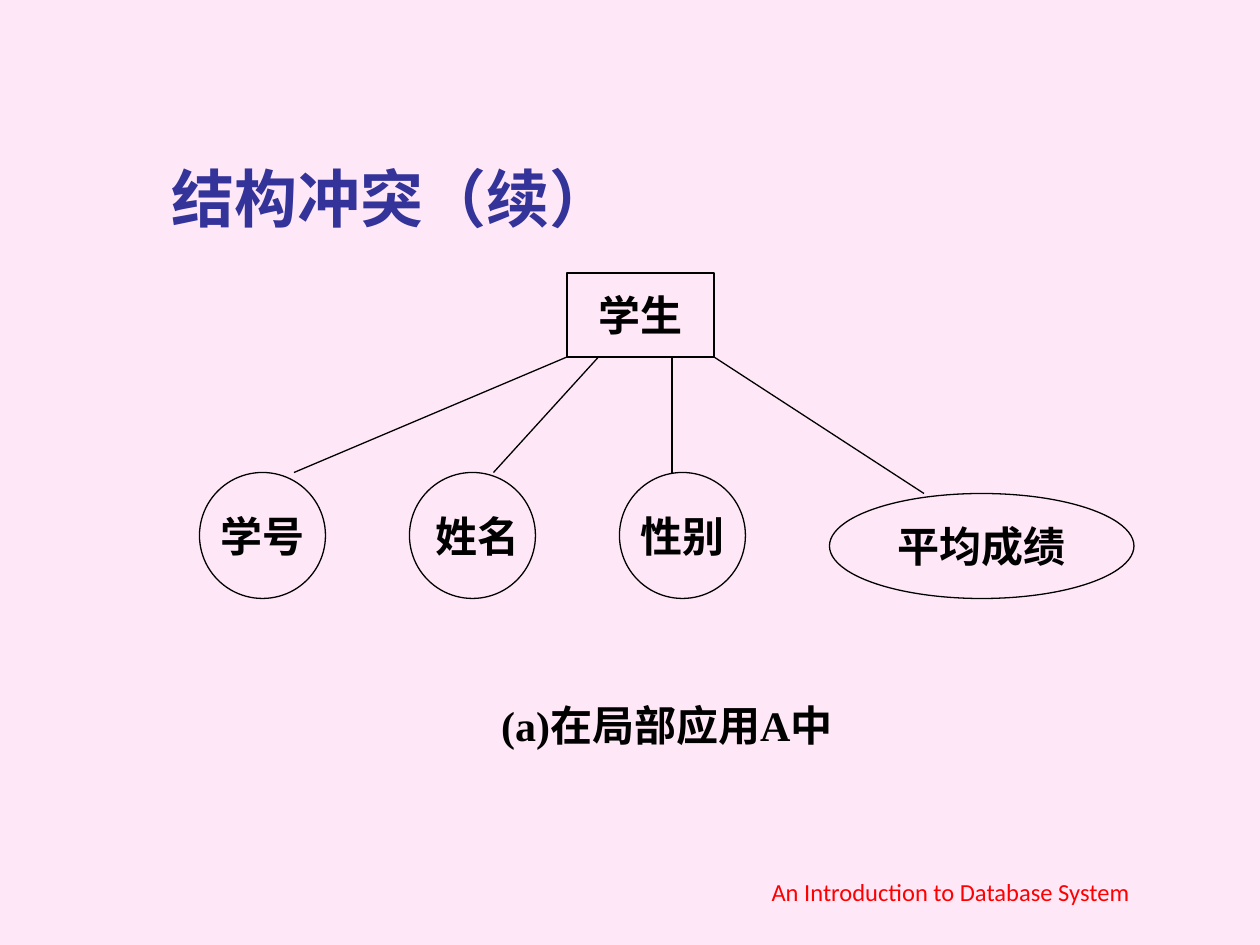
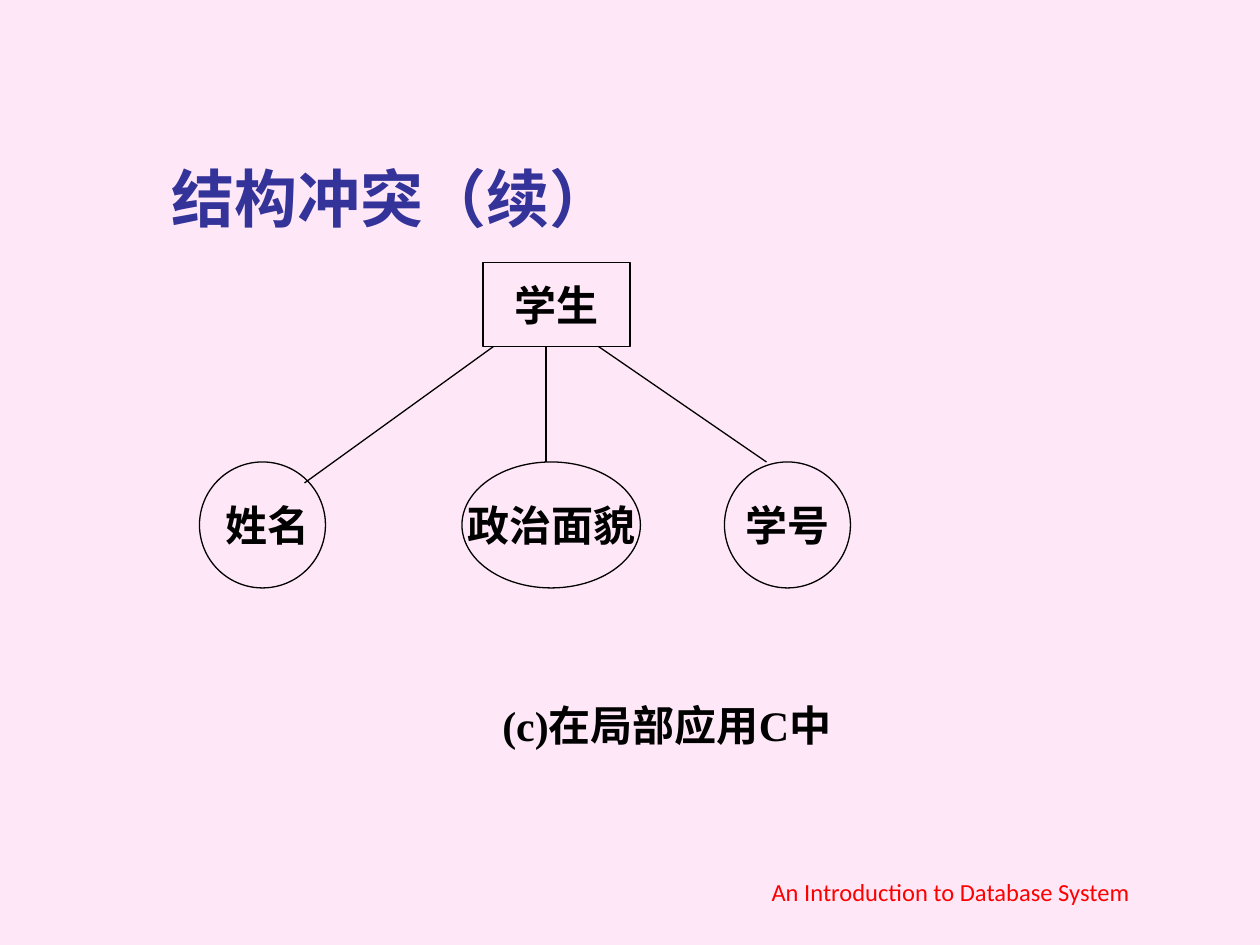
from lxml import etree
from pptx import Presentation
from pptx.dml.color import RGBColor
from pptx.enum.shapes import MSO_CONNECTOR, MSO_SHAPE
from pptx.enum.text import MSO_ANCHOR, MSO_AUTO_SIZE, PP_ALIGN
from pptx.oxml.ns import qn
from pptx.util import Pt

RECT, ELLIPSE = MSO_SHAPE.RECTANGLE, MSO_SHAPE.OVAL
STRAIGHT = MSO_CONNECTOR.STRAIGHT
MIDDLE, BOTTOM = MSO_ANCHOR.MIDDLE, MSO_ANCHOR.BOTTOM
LEFT, CENTER = PP_ALIGN.LEFT, PP_ALIGN.CENTER

BACKGROUND, BLACK, TITLE_BLUE, FOOTER_RED = "FEE8F7", "000000", "333399", "FF0000"
TITLE = "结构冲突（续）"
FOOTER = "An Introduction to Database System"

# Entity box: left, top. Attributes: text, left, top, width, height.
# Links: start x on the entity's lower edge, end x, end y.
DIAGRAMS = [
    {
        "entity": (324, 156),
        "attributes": [(text, 114 + 120 * i, 270, 72, 72)
                       for i, text in enumerate(["学号", " 姓名", "性别"])]
                      + [("平均成绩", 474, 282, 174, 60)],
        "links": [(324, 168, 270), (342, 282, 270), (384, 384, 270), (408, 528, 282)],
        "caption": "(a)在局部应用A中",
    },
    {
        "entity": (276, 150),
        "attributes": [("学号", 414, 264, 72, 72), (" 姓名", 114, 264, 72, 72),
                       (" 政治面貌 ", 264, 264, 102, 72)],
        "links": [(282, 174, 276), (342, 438, 264), (312, 312, 264)],
        "caption": "(c)在局部应用C中",
    },
]
ENTITY_W, ENTITY_H = 84, 48


def rgb(color):
    return RGBColor.from_string(color)


def write(sp, text, size=24, font="Times New Roman", color=BLACK, bold=True,
          align=CENTER, anchor=MIDDLE, wrap=False):
    tf = sp.text_frame
    tf.auto_size = MSO_AUTO_SIZE.NONE
    tf.word_wrap = wrap
    tf.vertical_anchor = anchor
    p = tf.paragraphs[0]
    p.alignment = align
    r = p.add_run()
    r.text = text
    r.font.size, r.font.name, r.font.bold = Pt(size), font, bold
    r.font.color.rgb = rgb(color)


prs = Presentation()
prs.slide_width, prs.slide_height = Pt(720), Pt(540)
fill = prs.slide_master.background.fill
fill.solid()
fill.fore_color.rgb = rgb(BACKGROUND)

for diagram in DIAGRAMS:
    s = prs.slides.add_slide(prs.slide_layouts.get_by_name("Title Only"))

    # Title
    title = s.shapes.title
    title.left, title.top, title.width, title.height = Pt(90.7), Pt(48.2), Pt(613.4), Pt(90)
    write(title, TITLE, 36, "Karla", TITLE_BLUE, align=LEFT, anchor=BOTTOM, wrap=True)

    # Entity and its attributes
    left, top = diagram["entity"]
    nodes = [(RECT, "学生", left, top, ENTITY_W, ENTITY_H)]
    nodes += [(ELLIPSE, *attribute) for attribute in diagram["attributes"]]
    for kind, text, *box in nodes:
        sp = s.shapes.add_shape(kind, *map(Pt, box))
        sp.shadow.inherit = False
        sp.fill.background()
        sp.line.color.rgb = rgb(BLACK)
        sp.line.width = Pt(0.75)
        write(sp, text)

    # Links
    for x1, x2, y2 in diagram["links"]:
        link = s.shapes.add_connector(STRAIGHT, Pt(x1), Pt(top + ENTITY_H), Pt(x2), Pt(y2))
        link.line.color.rgb = rgb(BLACK)
        link.line.width = Pt(0.75)
        etree.SubElement(link._element.spPr, qn("a:effectLst"))

    # Caption and footer
    caption = s.shapes.add_textbox(Pt(264), Pt(390), Pt(234), Pt(48))
    write(caption, diagram["caption"])
    footer = s.shapes.add_textbox(Pt(396), Pt(485.3), Pt(294.5), Pt(36))
    write(footer, FOOTER, 14, "Calibri", FOOTER_RED, bold=False, anchor=BOTTOM, wrap=True)

prs.save("out.pptx")
